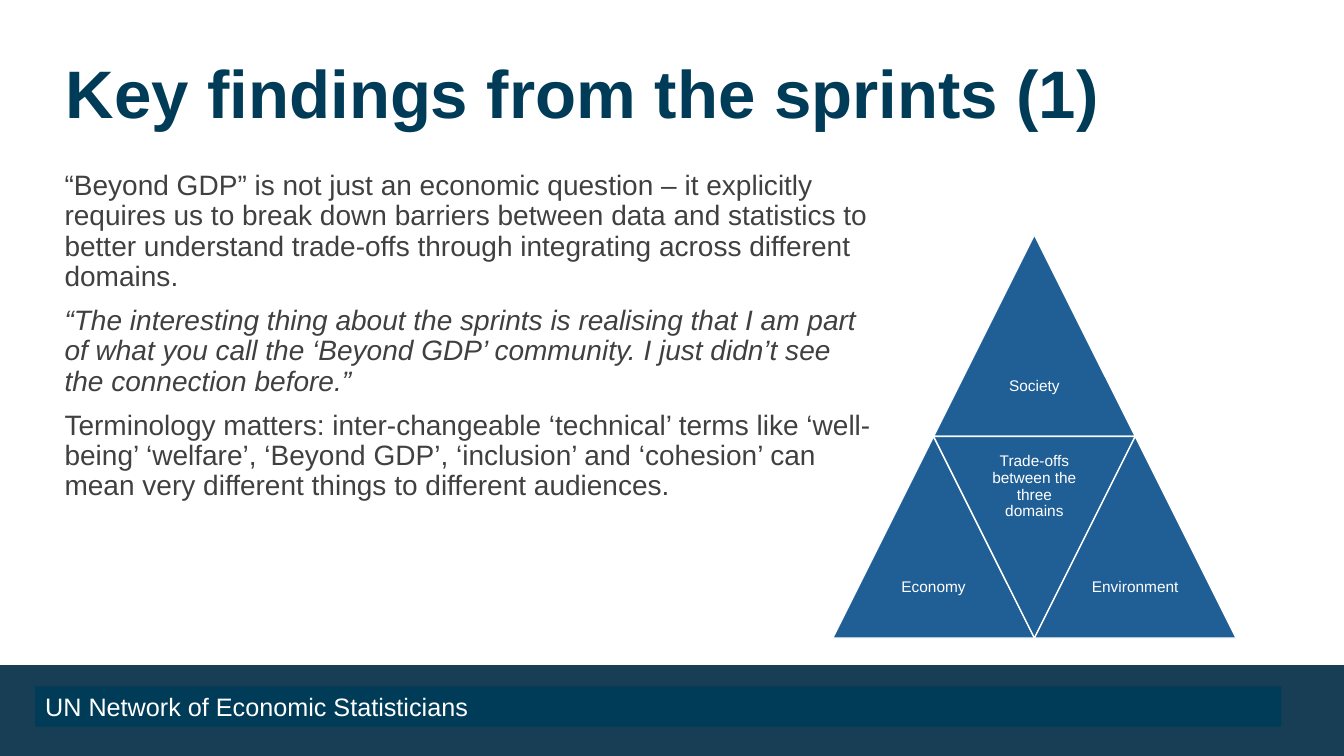
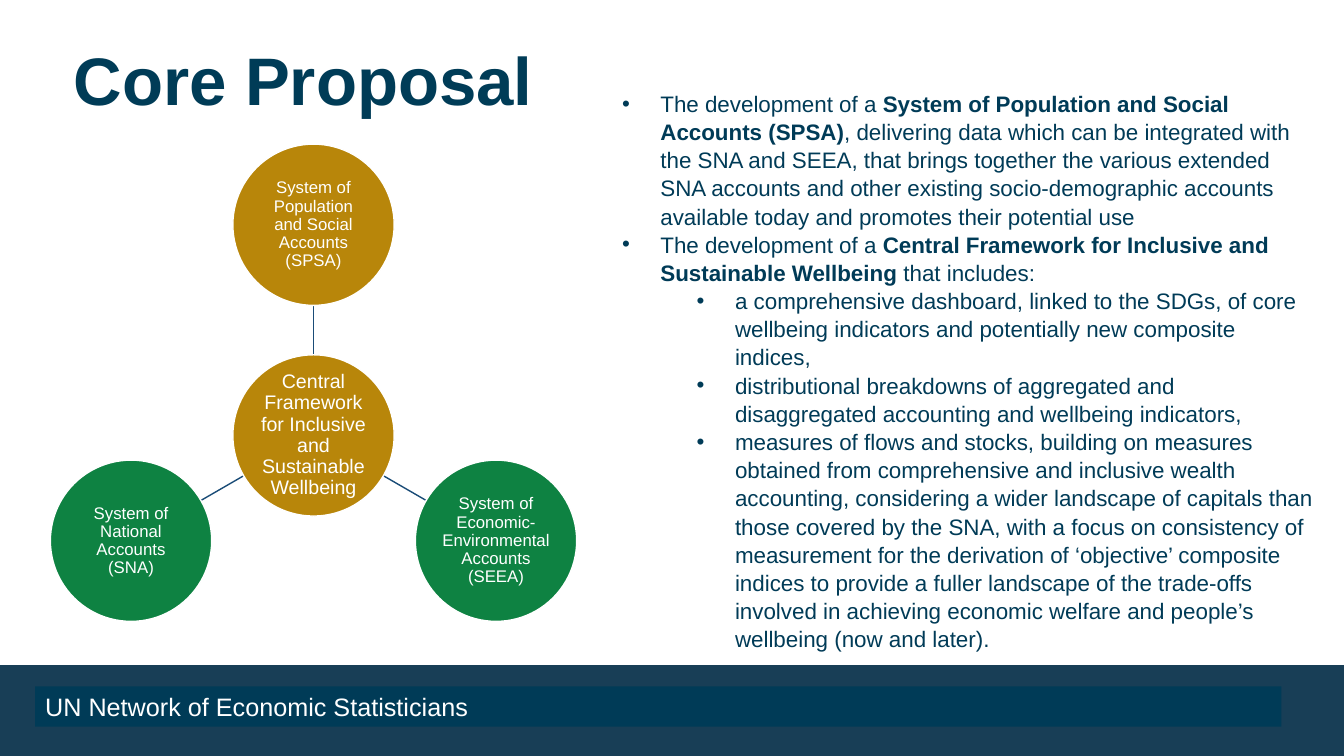
from dataclasses import dataclass
from math import cos, radians, sin

from lxml import etree
from pptx import Presentation
from pptx.dml.color import RGBColor
from pptx.enum.shapes import MSO_CONNECTOR, MSO_SHAPE
from pptx.enum.text import MSO_ANCHOR, MSO_AUTO_SIZE, PP_ALIGN
from pptx.oxml.ns import qn
from pptx.util import Inches, Pt

RECTANGLE, OVAL = MSO_SHAPE.RECTANGLE, MSO_SHAPE.OVAL
TRIANGLE, INVERTED_TRIANGLE = MSO_SHAPE.ISOSCELES_TRIANGLE, MSO_SHAPE.FLOWCHART_MERGE
STRAIGHT = MSO_CONNECTOR.STRAIGHT
TOP, MIDDLE = MSO_ANCHOR.TOP, MSO_ANCHOR.MIDDLE
LEFT, CENTER = PP_ALIGN.LEFT, PP_ALIGN.CENTER
NO_AUTOFIT = MSO_AUTO_SIZE.NONE


@dataclass(frozen=True)
class Theme:
    font: str = "Arial"
    white: RGBColor = RGBColor(0xFF, 0xFF, 0xFF)
    title: RGBColor = RGBColor(0x00, 0x3C, 0x57)
    body: RGBColor = RGBColor(0x41, 0x40, 0x41)
    navy: RGBColor = RGBColor(0x00, 0x3B, 0x57)
    band: RGBColor = RGBColor(0x18, 0x3E, 0x56)
    blue: RGBColor = RGBColor(0x20, 0x5F, 0x95)
    link: RGBColor = RGBColor(0x1A, 0x4C, 0x77)
    gold: RGBColor = RGBColor(0xB8, 0x86, 0x0A)
    green: RGBColor = RGBColor(0x0E, 0x82, 0x42)
    title_size: int = 48
    body_size: int = 20
    footer_size: int = 18
    proposal_size: int = 16
    hub_size: int = 14
    account_size: int = 12
    domain_size: int = 11


THEME = Theme()


def style_paragraph(paragraph, size, color, alignment=LEFT, line_spacing=0.9):
    paragraph.font.name = THEME.font
    paragraph.font.size = Pt(size)
    paragraph.font.color.rgb = color
    paragraph.alignment = alignment
    paragraph.line_spacing = line_spacing


def add_filled_shape(slide, kind, box, fill, text="", size=12, inset=None):
    """Add a filled shape; an inset makes it a white-edged node with centred text."""
    shape = slide.shapes.add_shape(kind, *map(Inches, box))
    shape.shadow.inherit = False
    shape.fill.solid()
    shape.fill.fore_color.rgb = fill
    shape.line.fill.background()
    frame = shape.text_frame
    frame.word_wrap = True
    frame.vertical_anchor = MIDDLE
    frame.text = text
    if inset is None:
        style_paragraph(frame.paragraphs[0], size, THEME.white, line_spacing=1.0)
    else:
        shape.line.color.rgb = THEME.white
        shape.line.width = Pt(1)
        frame.margin_left = frame.margin_right = Inches(inset)
        frame.margin_top = frame.margin_bottom = Inches(inset)
        style_paragraph(frame.paragraphs[0], size, THEME.white, CENTER)
    return shape


presentation = Presentation()
presentation.slide_width = Inches(13.33)
presentation.slide_height = Inches(7.5)
layout = presentation.slide_layouts[1]

# Shared frame: title, body box and footer of each slide
SLIDES = [
    ("Key findings from the sprints (1)", (0.65, 0.55), (0.64, 1.65, 8.16, 3.41), 0),
    ("Core Proposal", (0.73, 0.42), (6.07, 0.83, 7.06, 5.49), 0.1),
]
slides = []
for title_text, title_position, body_box, body_inset in SLIDES:
    slide = presentation.slides.add_slide(layout)
    title, body = slide.placeholders
    title_box = (*title_position, 11.5, 0.83)
    for placeholder, box, inset in ((title, title_box, 0), (body, body_box, body_inset)):
        placeholder.left, placeholder.top, placeholder.width, placeholder.height = map(Inches, box)
        frame = placeholder.text_frame
        frame.auto_size = NO_AUTOFIT
        frame.vertical_anchor = TOP
        frame.margin_left = Inches(inset)
    title.text_frame.text = title_text
    title_paragraph = title.text_frame.paragraphs[0]
    style_paragraph(title_paragraph, THEME.title_size, THEME.title)
    title_paragraph.font.bold = True
    add_filled_shape(slide, RECTANGLE, (0.35, 6.81, 12.36, 0.4), THEME.navy,
                     "UN Network of Economic Statisticians", THEME.footer_size)
    slides.append(slide)
findings_slide, proposal_slide = slides

# The bottom band belongs to the slide master
band = add_filled_shape(findings_slide, RECTANGLE, (0, 6.6, 13.33, 0.9), THEME.band)
presentation.slide_master.element.cSld.spTree.insert(2, band.element)

# Key findings: text
FINDINGS = [
    ("“Beyond GDP” is not just an economic question – it explicitly requires us to break down "
     "barriers between data and statistics to better understand trade-offs through integrating "
     "across different domains.", False),
    ("“The interesting thing about the sprints is realising that I am part of what you call the "
     "‘Beyond GDP’ community. I just didn’t see the connection before.”", True),
    ("Terminology matters: inter-changeable ‘technical’ terms like ‘well-being’ ‘welfare’, "
     "‘Beyond GDP’, ‘inclusion’ and ‘cohesion’ can mean very different things to different "
     "audiences.", False),
]
frame = findings_slide.placeholders[1].text_frame
for index, (text, italic) in enumerate(FINDINGS):
    paragraph = frame.add_paragraph() if index else frame.paragraphs[0]
    paragraph.text = text
    style_paragraph(paragraph, THEME.body_size, THEME.body)
    paragraph.font.italic = italic
    paragraph.space_before = Pt(10)
    properties = paragraph._p.get_or_add_pPr()
    properties.set("marL", "0")
    properties.set("indent", "0")
    etree.SubElement(properties, qn("a:buNone"))
    properties.append(properties.find(qn("a:defRPr")))

# Key findings: pyramid of domains, placed in half-side steps
PYRAMID_LEFT, PYRAMID_TOP, SIDE = 8.26, 2.33, 2
DOMAINS = [
    ("Society", TRIANGLE, 1, 0),
    ("Economy", TRIANGLE, 0, 1),
    ("Trade-offs between the three domains", INVERTED_TRIANGLE, 1, 1),
    ("Environment", TRIANGLE, 2, 1),
]
for text, kind, column, row in DOMAINS:
    box = (PYRAMID_LEFT + column * SIDE / 2, PYRAMID_TOP + row * SIDE, SIDE, SIDE)
    add_filled_shape(findings_slide, kind, box, THEME.blue, text, THEME.domain_size, 0.05)

# Core proposal: hub with three accounts around it
HUB_X, HUB_Y, RADIUS, DISTANCE = 3.11, 4.32, 0.8, 2.09
ACCOUNTS = [
    ("System of Population and Social Accounts (SPSA)", THEME.gold, -90),
    ("System of Economic-Environmental Accounts (SEEA)", THEME.green, 30),
    ("System of National Accounts (SNA)", THEME.green, 150),
]
circles = [("Central Framework for Inclusive and Sustainable Wellbeing",
            THEME.gold, THEME.hub_size, HUB_X, HUB_Y)]
for text, color, angle in ACCOUNTS:
    across, down = cos(radians(angle)), sin(radians(angle))
    circles.append((text, color, THEME.account_size,
                    HUB_X + DISTANCE * across, HUB_Y + DISTANCE * down))
    start, end = [(Inches(HUB_X + reach * across), Inches(HUB_Y + reach * down))
                  for reach in (RADIUS, DISTANCE - RADIUS)]
    connector = proposal_slide.shapes.add_connector(STRAIGHT, *start, *end)
    connector.line.color.rgb = THEME.link
    connector.line.width = Pt(1)
    etree.SubElement(connector.element.spPr, qn("a:effectLst"))
for text, color, size, x, y in circles:
    box = (x - RADIUS, y - RADIUS, 2 * RADIUS, 2 * RADIUS)
    add_filled_shape(proposal_slide, OVAL, box, color, text, size, 0.01)

# Core proposal: bullets as (level, [(text, bold), ...])
PROPOSALS = [
    (0, [("The development of a ", False),
         ("System of Population and Social Accounts (SPSA)", True),
         (", delivering data which can be integrated with the SNA and SEEA, that brings together "
          "the various extended SNA accounts and other existing socio-demographic accounts "
          "available today and promotes their potential use", False)]),
    (0, [("The development of a ", False),
         ("Central Framework for Inclusive and Sustainable Wellbeing ", True),
         ("that includes:", False)]),
    (1, [("a comprehensive dashboard, linked to the SDGs, of core wellbeing indicators and "
          "potentially new composite indices,", False)]),
    (1, [("distributional breakdowns of aggregated and disaggregated accounting and wellbeing "
          "indicators,", False)]),
    (1, [("measures of flows and stocks, building on measures obtained from comprehensive and "
          "inclusive wealth accounting, considering a wider landscape of capitals than those "
          "covered by the SNA, with a focus on consistency of measurement for the derivation of "
          "‘objective’ composite indices to provide a fuller landscape of the trade-offs involved "
          "in achieving economic welfare and people’s wellbeing (now and later).", False)]),
]
frame = proposal_slide.placeholders[1].text_frame
for index, (level, runs) in enumerate(PROPOSALS):
    paragraph = frame.add_paragraph() if index else frame.paragraphs[0]
    paragraph.level = level
    style_paragraph(paragraph, THEME.proposal_size, THEME.navy, line_spacing=1.05)
    paragraph.space_before = Pt(0)
    for text, bold in runs:
        run = paragraph.add_run()
        run.text = text
        run.font.bold = bold
    properties = paragraph._p.get_or_add_pPr()
    properties.set("marL", str(Inches(0.38 + 0.74 * level)))
    properties.set("indent", str(Inches(-0.38)))
    etree.SubElement(properties, qn("a:buChar"), char="•")
    properties.append(properties.find(qn("a:defRPr")))

presentation.save("out.pptx")
